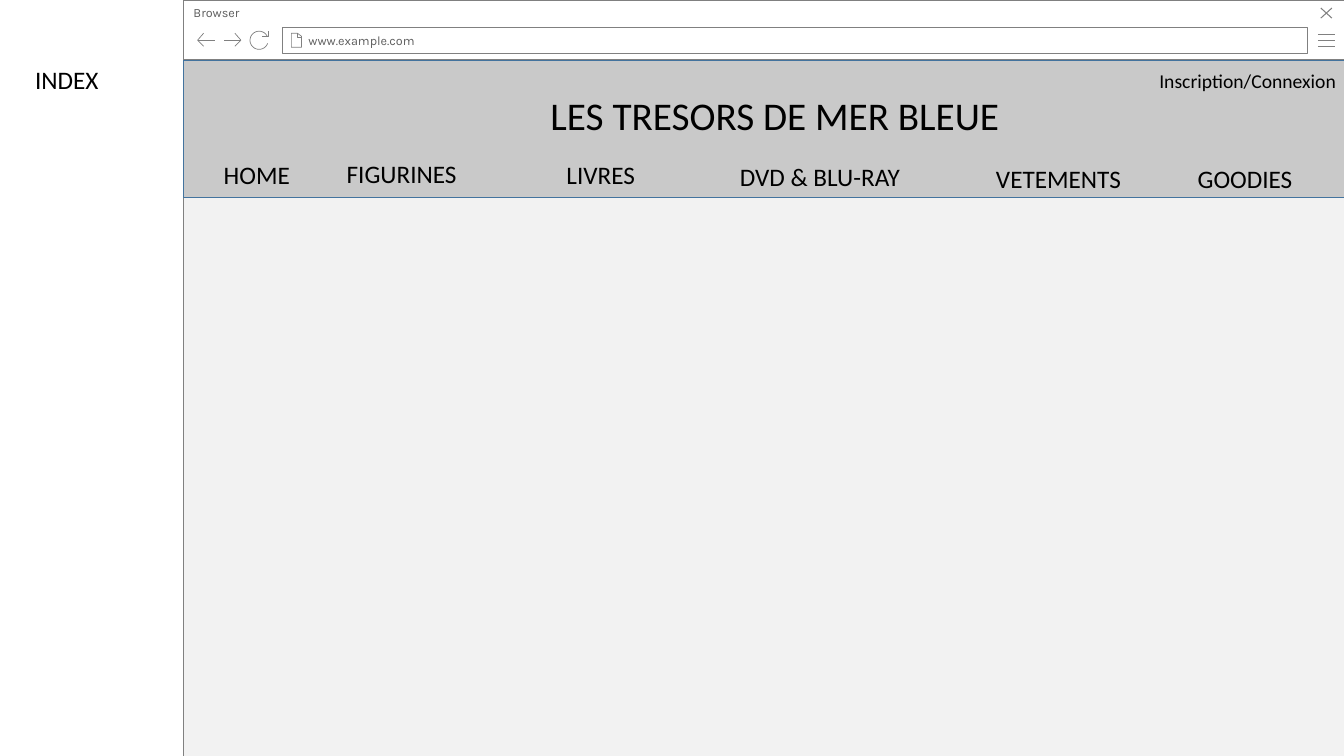
import math

from pptx import Presentation
from pptx.dml.color import RGBColor
from pptx.enum import shapes, text
from pptx.util import Inches, Pt

BLACK = RGBColor(0x00, 0x00, 0x00)
WHITE = RGBColor(0xFF, 0xFF, 0xFF)
PAGE_GREY = RGBColor(0xF2, 0xF2, 0xF2)
HEADER_GREY = RGBColor(0xC9, 0xC9, 0xC9)
HEADER_BLUE = RGBColor(0x43, 0x73, 0x9E)
LINE_GREY = RGBColor(0x80, 0x80, 0x80)
LABEL_GREY = RGBColor(0x5F, 0x5F, 0x5F)

PAGE_LEFT, PAGE_WIDTH = 1.82, 11.52

MENU = [
    ("HOME", 2.12, 1.53, 1.05),
    ("FIGURINES", 3.34, 1.52, 2.08),
    ("LIVRES", 5.52, 1.53, 2.08),
    ("DVD & BLU-RAY", 7.24, 1.55, 2.08),
    ("VETEMENTS", 9.78, 1.57, 2.08),
    ("GOODIES", 11.78, 1.57, 2.08),
]


def write_text(shape, words, size=18, font="Calibri", color=BLACK,
               anchor=text.MSO_ANCHOR.TOP, left=0.1, right=0.1):
    frame = shape.text_frame
    frame.word_wrap = True
    frame.auto_size = text.MSO_AUTO_SIZE.NONE
    frame.vertical_anchor = anchor
    frame.margin_left, frame.margin_right = Inches(left), Inches(right)
    frame.margin_top = frame.margin_bottom = Inches(0.05)
    paragraph = frame.paragraphs[0]
    paragraph.alignment = text.PP_ALIGN.LEFT
    paragraph.line_spacing = 1.0
    paragraph.space_before = Pt(0)
    run = paragraph.add_run()
    run.text = words
    run.font.name = font
    run.font.size = Pt(size)
    run.font.color.rgb = color


def add_label(slide, words, left, top, width, height=0.4, **style):
    box = slide.shapes.add_textbox(*map(Inches, (left, top, width, height)))
    write_text(box, words, **style)


def add_panel(parent, left, top, width, height, fill,
              line=LINE_GREY, weight=0.5):
    panel = parent.shapes.add_shape(
        shapes.MSO_SHAPE.RECTANGLE, *map(Inches, (left, top, width, height)))
    panel.shadow.inherit = False
    panel.fill.solid()
    panel.fill.fore_color.rgb = fill
    panel.line.color.rgb = line
    panel.line.width = Pt(weight)
    return panel


def add_icon(parent, strokes, weight=0.5):
    """Draw one outline icon; each stroke is a list of points in inches."""
    strokes = [[(Inches(x), Inches(y)) for x, y in stroke]
               for stroke in strokes]
    builder = parent.shapes.build_freeform(*strokes[0][0])
    for number, stroke in enumerate(strokes):
        if number:
            builder.move_to(*stroke[0])
        builder.add_line_segments(stroke[1:], close=False)
    icon = builder.convert_to_shape()
    icon.shadow.inherit = False
    icon.fill.background()
    icon.line.color.rgb = LINE_GREY
    icon.line.width = Pt(weight)


def add_arrow_icon(parent, tip, direction):
    wing, tail = tip - 0.06 * direction, tip - 0.17 * direction
    add_icon(parent, [[(wing, 0.46), (tip, 0.4), (wing, 0.33)],
                      [(tip, 0.4), (tail, 0.4)]])


def add_reload_icon(parent):
    angles = [math.radians(degrees) for degrees in range(20, 336, 9)]
    arc = [(2.57 + 0.09 * math.cos(a), 0.4 + 0.09 * math.sin(a))
           for a in angles]
    add_icon(parent, [[(2.66, 0.31), (2.66, 0.36), (2.6, 0.36)], arc])


def add_browser(slide):
    browser = slide.shapes.add_group_shape()

    # Page and title bar
    add_panel(browser, PAGE_LEFT, 0.59, PAGE_WIDTH, 6.93, PAGE_GREY)
    bar = add_panel(browser, PAGE_LEFT, 0, PAGE_WIDTH, 0.59, WHITE)
    write_text(bar, "Browser", size=9, font="Karla", color=LABEL_GREY,
               right=0.25)

    # Menu and close icons
    add_icon(browser, [[(13.07, y), (13.24, y)] for y in (0.46, 0.4, 0.34)])
    add_icon(browser, [[(13.21, 0.08), (13.1, 0.18)],
                       [(13.1, 0.08), (13.21, 0.18)]], weight=0.75)

    # Address field with its page icon
    address = add_panel(browser, 2.8, 0.27, 10.17, 0.26, WHITE)
    write_text(address, "www.example.com", size=9, font="Karla",
               color=LABEL_GREY, anchor=text.MSO_ANCHOR.MIDDLE, left=0.26)
    add_icon(browser, [[(2.95, 0.33), (2.95, 0.37), (2.99, 0.37)],
                       [(2.89, 0.33), (2.89, 0.47), (2.99, 0.47),
                        (2.99, 0.36), (2.95, 0.33), (2.89, 0.33)]])

    # Navigation icons
    add_arrow_icon(browser, 1.96, -1)
    add_arrow_icon(browser, 2.39, 1)
    add_reload_icon(browser)


def place_title(slide, words):
    title = slide.shapes.title
    title.left, title.top = Inches(5.36), Inches(0.86)
    title.width, title.height = Inches(5.05), Inches(0.57)
    write_text(title, words, size=28)
    # Bring the title in front of the header band
    title.element.getparent().append(title.element)


def main():
    presentation = Presentation()
    presentation.slide_width = Inches(13.33)
    presentation.slide_height = Inches(7.5)
    slide = presentation.slides.add_slide(presentation.slide_layouts[5])

    add_browser(slide)
    add_label(slide, "INDEX", 0.25, 0.59, 1.32)

    # Site header
    add_panel(slide, PAGE_LEFT, 0.6, PAGE_WIDTH, 1.36, HEADER_GREY,
              line=HEADER_BLUE, weight=1)
    place_title(slide, "LES TRESORS DE MER BLEUE")
    add_label(slide, "Inscription/Connexion", 11.4, 0.63, 2.84, 0.34, size=14)
    for words, left, top, width in MENU:
        add_label(slide, words, left, top, width)

    presentation.save("out.pptx")


if __name__ == "__main__":
    main()
